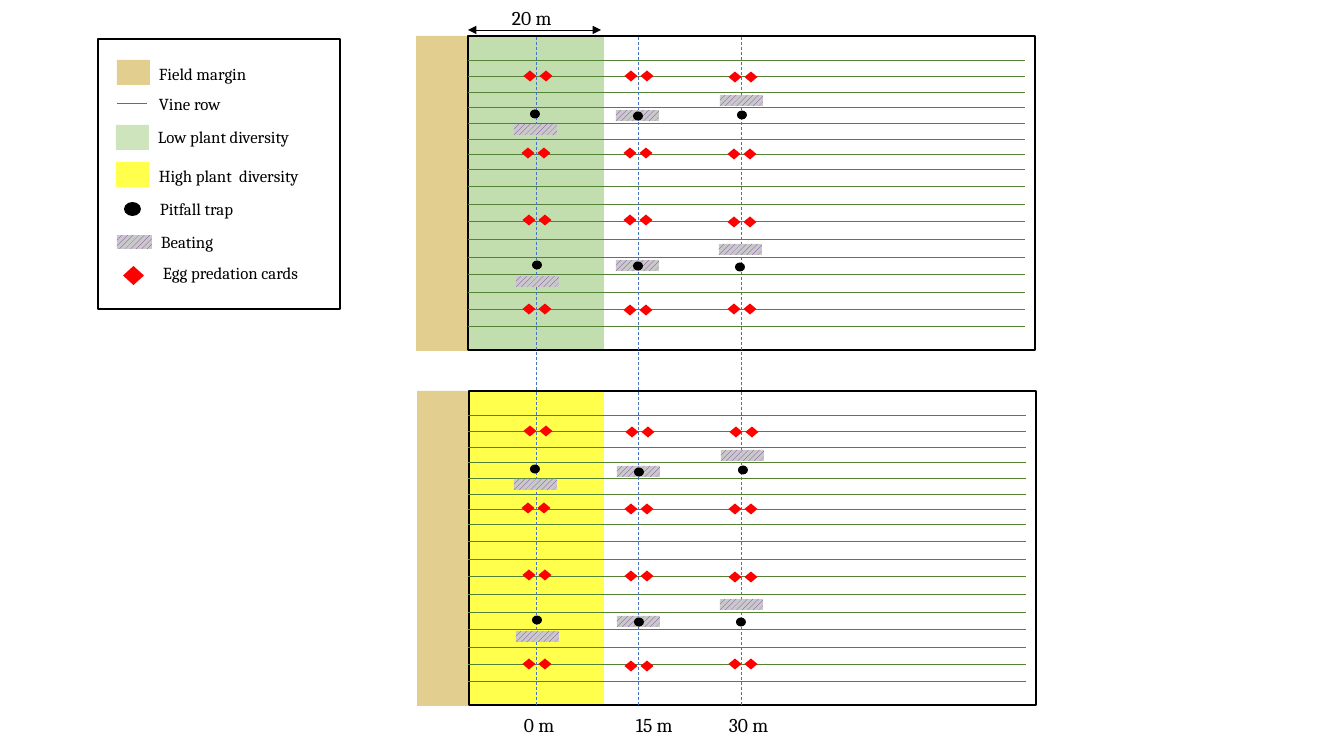
from lxml.etree import SubElement
from pptx import Presentation
from pptx.dml.color import RGBColor
from pptx.enum.dml import MSO_LINE, MSO_PATTERN
from pptx.enum.shapes import MSO_CONNECTOR, MSO_SHAPE
from pptx.oxml.ns import qn
from pptx.util import Emu, Pt

PIXEL = 914400 / 100.8
COLORS = {
    "black": "000000", "white": "FFFFFF", "margin": "BF9000", "low": "A9D18E",
    "high": "FFFF00", "vine": "548235", "transect": "4472C4", "card": "FF0000",
    "hatch": "7030A0", "beating": "C9C9C9",
}


def add_shape(kind, left, top, width, height, fill=None, alpha=None, outline=False):
    box = [Emu(round(value * PIXEL)) for value in (left, top, width, height)]
    shape = slide.shapes.add_shape(kind, *box)
    shape.shadow.inherit = False
    if fill is None:
        shape.fill.background()
    elif fill == "beating":
        shape.fill.patterned()
        shape.fill.pattern = MSO_PATTERN.WIDE_UPWARD_DIAGONAL
        shape.fill.fore_color.rgb = RGBColor.from_string(COLORS["hatch"])
        shape.fill.back_color.rgb = RGBColor.from_string(COLORS[fill])
    else:
        shape.fill.solid()
        shape.fill.fore_color.rgb = RGBColor.from_string(COLORS[fill])
    if alpha:
        color = shape.fill._xPr.find(qn("a:solidFill"))[0]
        SubElement(color, qn("a:alpha"), val=str(alpha * 1000))
    if outline:
        shape.line.color.rgb = RGBColor.from_string(COLORS["black"])
        shape.line.width = Pt(1)
    else:
        shape.line.fill.background()


def add_text(text, left, top, width=168, height=30, size=12, font="Cambria", color="black"):
    box = [Emu(round(value * PIXEL)) for value in (left, top, width, height)]
    frame = slide.shapes.add_textbox(*box).text_frame
    frame.word_wrap = True
    run = frame.paragraphs[0].add_run()
    run.text = text
    run.font.size = Pt(size)
    run.font.name = font
    run.font.color.rgb = RGBColor.from_string(COLORS[color])


presentation = Presentation()
presentation.slide_width = Emu(round(1344 * PIXEL))
presentation.slide_height = Emu(round(756 * PIXEL))
slide = presentation.slides.add_slide(presentation.slide_layouts[6])
RECTANGLE, OVAL, DIAMOND = MSO_SHAPE.RECTANGLE, MSO_SHAPE.OVAL, MSO_SHAPE.DIAMOND

# Legend: symbols, then labels
add_shape(RECTANGLE, 98, 39, 242, 270, "white", outline=True)
legend_symbols = [
    (RECTANGLE, 117, 60, 33, 25, "margin", 44),
    (RECTANGLE, 116, 125, 33, 25, "low", 58),
    (RECTANGLE, 116, 162, 33, 25, "high", 70),
    (OVAL, 124, 202, 17, 14, "black"),
    (RECTANGLE, 117, 235, 35, 14, "beating"),
    (DIAMOND, 123, 266, 21, 19, "card"),
]
for symbol in legend_symbols:
    add_shape(*symbol)
legend_labels = [
    ("Field margin", 149, 59), ("Vine row", 149, 89), ("Low plant diversity", 148, 122),
    ("High plant  diversity", 149, 161), ("Pitfall trap", 150, 194),
    ("Beating", 151, 227), ("Egg predation cards", 153, 258),
]
for label, left, top in legend_labels:
    add_text(label, left, top, width=178)

# Fields and their vine rows; each line is (start, end, color, width, style)
lines = [((117, 104), (147, 104), "vine", 0.75, None)]
vine_rows = [60, 76, 92, 107, 123, 139, 154, 169, 186, 204, 221, 239, 257, 274, 292, 309, 326]
fields = [(0, 0, "low"), (1, 355, "high")]
for right, down, diversity in fields:
    add_shape(RECTANGLE, 468, 36 + down, 136, 314, diversity, 70)
    add_shape(RECTANGLE, 468 + right, 36 + down, 567, 314, outline=True)
    add_shape(RECTANGLE, 416 + right, 36 + down, 51, 315, "margin", 44)
    for row in vine_rows:
        lines.append(((468, row + down), (1025 + right, row + down), "vine", 0.5, None))

# Transects and the width arrow
for transect_x in (536, 638, 741):
    lines.append(((transect_x, 37), (transect_x, 706), "transect", 0.5, "dash"))
lines.append(((468, 30), (601, 30), "black", 0.5, "arrow"))

for start, end, color, width, style in lines:
    points = [Emu(round(value * PIXEL)) for value in start + end]
    connector = slide.shapes.add_connector(MSO_CONNECTOR.STRAIGHT, *points)
    connector.line.color.rgb = RGBColor.from_string(COLORS[color])
    connector.line.width = Pt(width)
    if style == "dash":
        connector.line.dash_style = MSO_LINE.DASH
    if style == "arrow":
        line_xml = connector.line._get_or_add_ln()
        for tag in ("a:headEnd", "a:tailEnd"):
            SubElement(line_xml, qn(tag), type="triangle")
    SubElement(connector._element.spPr, qn("a:effectLst"))

# Samples of each transect in the upper field; the shift leads to the lower field
transects = [
    {"shift": (0, 355), "beating": [(514, 124), (516, 276)], "traps": [(535, 114), (537, 265)],
     "cards": [(538, 76), (536, 153), (537, 220), (537, 309)]},
    {"shift": (1, 356), "beating": [(616, 110), (616, 260)], "traps": [(638, 116), (638, 266)],
     "cards": [(639, 76), (638, 153), (638, 220), (638, 310)]},
    {"shift": (1, 355), "beating": [(720, 95), (719, 244)], "traps": [(742, 115), (740, 267)],
     "cards": [(743, 77), (742, 154), (742, 222), (742, 309)]},
]
for transect in transects:
    for right, down in ((0, 0), transect["shift"]):
        for left, top in transect["beating"]:
            add_shape(RECTANGLE, left + right, top + down, 43, 11, "beating")
        for x, y in transect["traps"]:
            add_shape(OVAL, x + right - 5, y + down - 4.5, 10, 9, "black")
        for x, y in transect["cards"]:
            for side in (-8, 8):
                add_shape(DIAMOND, x + right + side - 6.5, y + down - 5.5, 13, 11, "card")

# Distances
for distance, left, top in [("20 m", 502, 1), ("0 m", 514, 708), ("15 m", 626, 708), ("30 m", 719, 708)]:
    add_text(distance, left, top, width=78, height=34, size=14)

presentation.save("out.pptx")
